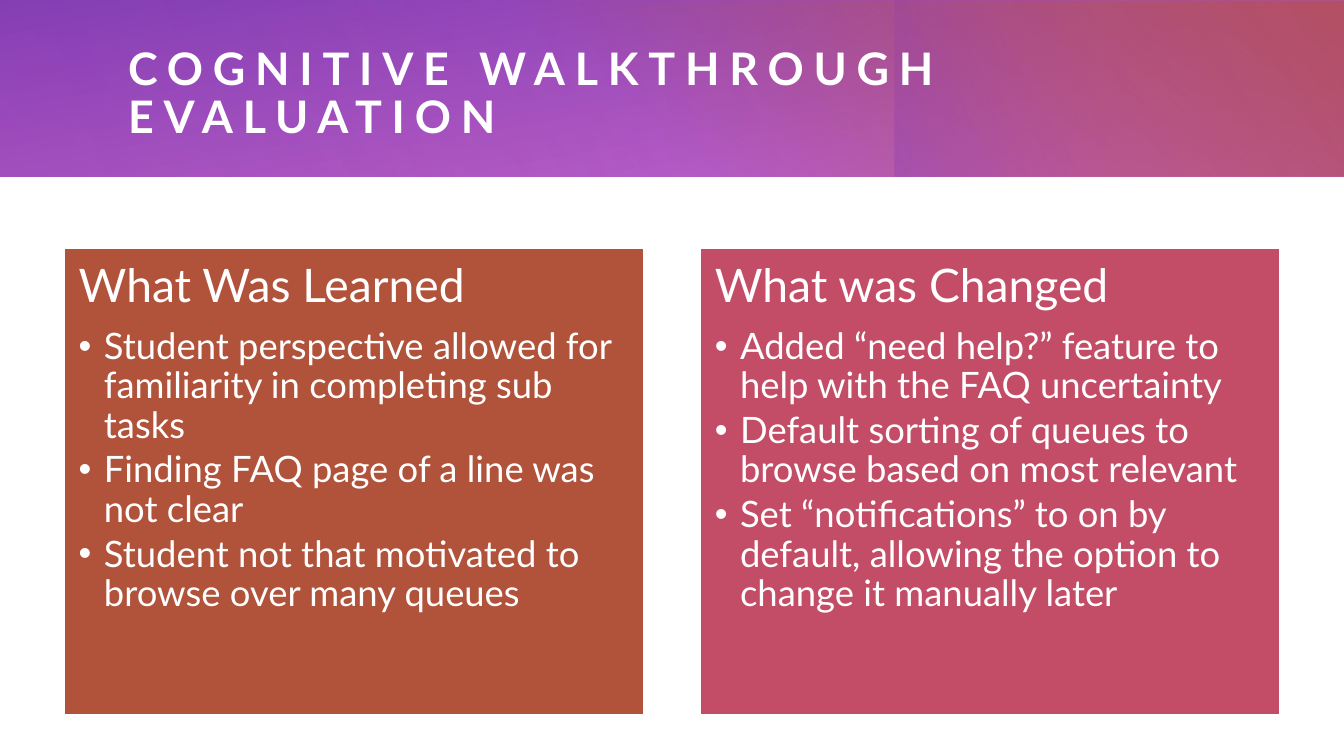
"""Build the cognitive walkthrough slide: a gradient banner and two list cards."""
from lxml.etree import SubElement
from pptx import Presentation
from pptx.dml.color import RGBColor
from pptx.enum.shapes import MSO_SHAPE
from pptx.enum.text import MSO_ANCHOR, MSO_AUTO_SIZE, PP_ALIGN
from pptx.oxml import parse_xml
from pptx.oxml.ns import nsdecls, qn
from pptx.util import Inches, Pt

TITLE = "COGNITIVE WALKTHROUGH EVALUATION"
CARDS = [
    ("What Was Learned", "rust", [
        "Student perspective allowed for familiarity in completing sub tasks",
        "Finding FAQ page of a line was not clear",
        "Student not that motivated to browse over many queues",
    ]),
    ("What was Changed", "rose", [
        "Added “need help?” feature to help with the FAQ uncertainty",
        "Default sorting of queues to browse based on most relevant",
        "Set “notifications” to on by default, allowing the option to "
        "change it manually later",
    ]),
]


class Theme:
    """Colours, font and type sizes."""
    white, rust, rose = "FFFFFF", "B1523B", "C34D67"
    pink, plum, wine = "BC4DC3", "793BB1", "B13B87"
    font = "Lato"
    title, head, item = 32, 33, 26


WIDE, HIGH = 13.33, 7.5
BAND = 1.75
EDGE, GAP, TOP, TALL = 0.64, 0.57, 2.46, 4.63
CARD = (WIDE - 2 * EDGE - GAP) / 2

LAYERS = [
    ((0, 0, WIDE, BAND), 0, 260,
     [(0, Theme.pink, 83), (100, Theme.plum, 100)]),
    ((4.81, 0.01, WIDE - 4.81, BAND - 0.01), 0, 310,
     [(22, Theme.rust, 0), (99, Theme.rust, 100)]),
    ((9.87, -0.99, BAND, 3.74), 270, 250,
     [(45, Theme.wine, 0), (99, Theme.plum, 33)]),
    ((2.68, 0, 10.64, BAND), 180, 330,
     [(0, Theme.pink, 30), (99, Theme.pink, 0)]),
    ((0, 0, 8.65, BAND), 0, 340,
     [(0, Theme.pink, 21), (99, Theme.pink, 0)]),
]


def blend(angle, stops):
    """Return a linear gradient fill with see-through stops."""
    marks = "".join(
        f'<a:gs pos="{pos * 1000}"><a:srgbClr val="{tint}">'
        f'<a:alpha val="{alpha * 1000}"/></a:srgbClr></a:gs>'
        for pos, tint, alpha in stops)
    return parse_xml(
        f'<a:gradFill {nsdecls("a")} rotWithShape="1"><a:gsLst>{marks}</a:gsLst>'
        f'<a:lin ang="{angle * 60000}" scaled="0"/></a:gradFill>')


def layer(slide, box, turn, angle, stops):
    """Add one gradient layer of the banner."""
    shape = slide.shapes.add_shape(MSO_SHAPE.RECTANGLE, *map(Inches, box))
    shape.rotation = turn
    shape.shadow.inherit = False
    shape.line.fill.background()
    shape.fill.background()
    props = shape._element.spPr
    props.replace(props.find(qn("a:noFill")), blend(angle, stops))


def place(holder, box, inset, anchor):
    """Move a placeholder and set up its text frame."""
    holder.left, holder.top, holder.width, holder.height = map(Inches, box)
    frame = holder.text_frame
    frame.word_wrap = True
    frame.auto_size = MSO_AUTO_SIZE.NONE
    frame.vertical_anchor = anchor
    frame.margin_left = frame.margin_right = Inches(inset)
    frame.margin_top = frame.margin_bottom = Inches(inset)
    return frame


def write(para, text, size, bold=False, after=0, track=0, bullet=False):
    """Fill a paragraph with formatted text."""
    props = para._p.get_or_add_pPr()
    indent = Inches(0.25) if bullet else 0
    props.set("marL", str(indent))
    props.set("indent", str(-indent))
    if bullet:
        para.level = 1
        SubElement(props, qn("a:buChar")).set("char", "•")
    else:
        SubElement(props, qn("a:buNone"))
    para.alignment = PP_ALIGN.LEFT
    para.line_spacing = 0.9
    para.space_before, para.space_after = Pt(0), Pt(after)
    run = para.add_run()
    run.text = text
    run.font.name, run.font.size, run.font.bold = Theme.font, Pt(size), bold
    run.font.color.rgb = RGBColor.from_string(Theme.white)
    if track:
        run._r.get_or_add_rPr().set("spc", str(track * 100))


def main():
    """Compose and save the slide."""
    deck = Presentation()
    deck.slide_width, deck.slide_height = Inches(WIDE), Inches(HIGH)
    slide = deck.slides.add_slide(deck.slide_layouts[3])
    title, *bodies = slide.placeholders

    for args in LAYERS:
        layer(slide, *args)
    frame = place(title, (1.27, 0.41, 11.35, 1.06), 0, MSO_ANCHOR.MIDDLE)
    write(frame.paragraphs[0], TITLE, Theme.title, bold=True, track=7)
    slide.shapes._spTree.append(title._element)

    for col, (body, (head, tint, items)) in enumerate(zip(bodies, CARDS)):
        left = EDGE + col * (CARD + GAP)
        frame = place(body, (left, TOP, CARD, TALL), 0.14, MSO_ANCHOR.TOP)
        body.fill.solid()
        body.fill.fore_color.rgb = RGBColor.from_string(getattr(Theme, tint))
        body.line.color.rgb = RGBColor.from_string(Theme.white)
        body.line.width = Pt(1)
        write(frame.paragraphs[0], head, Theme.head, after=11.5)
        for item in items:
            write(frame.add_paragraph(), item, Theme.item, after=4, bullet=True)
        slide.shapes._spTree.append(body._element)

    deck.save("out.pptx")


if __name__ == "__main__":
    main()
